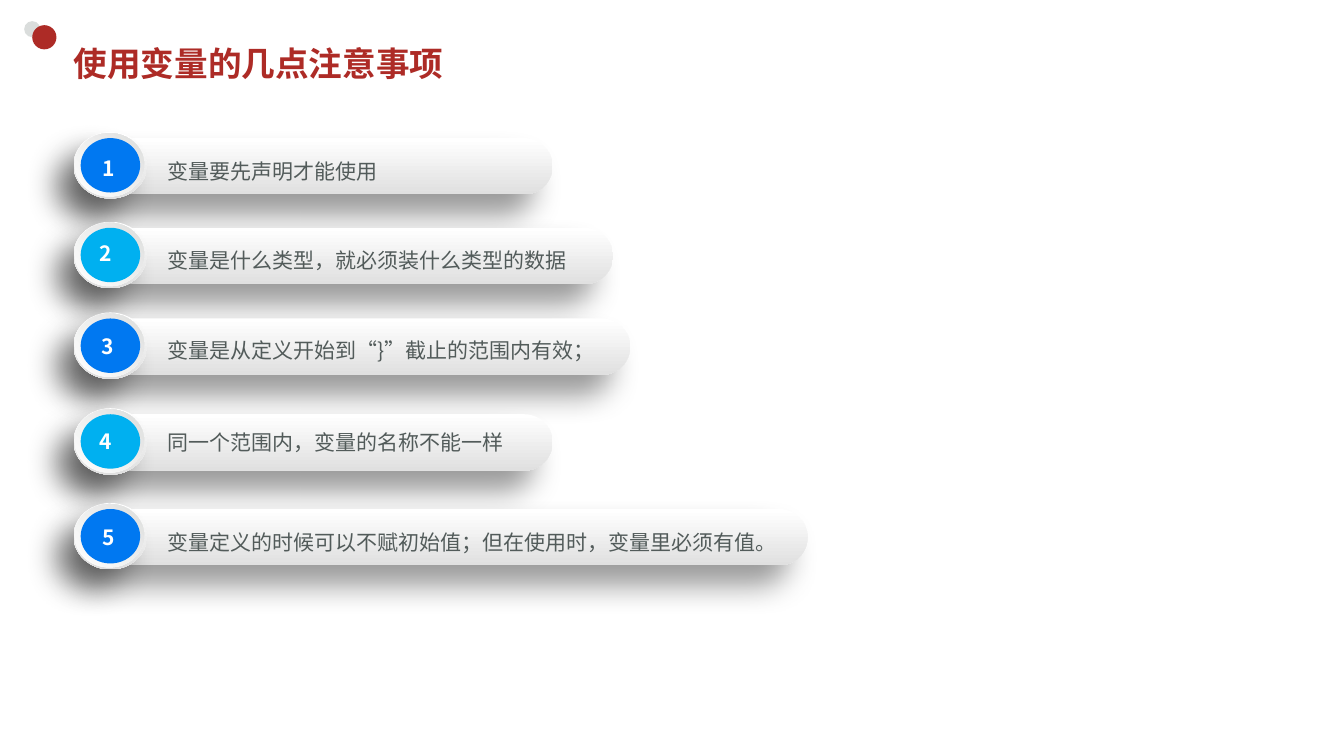
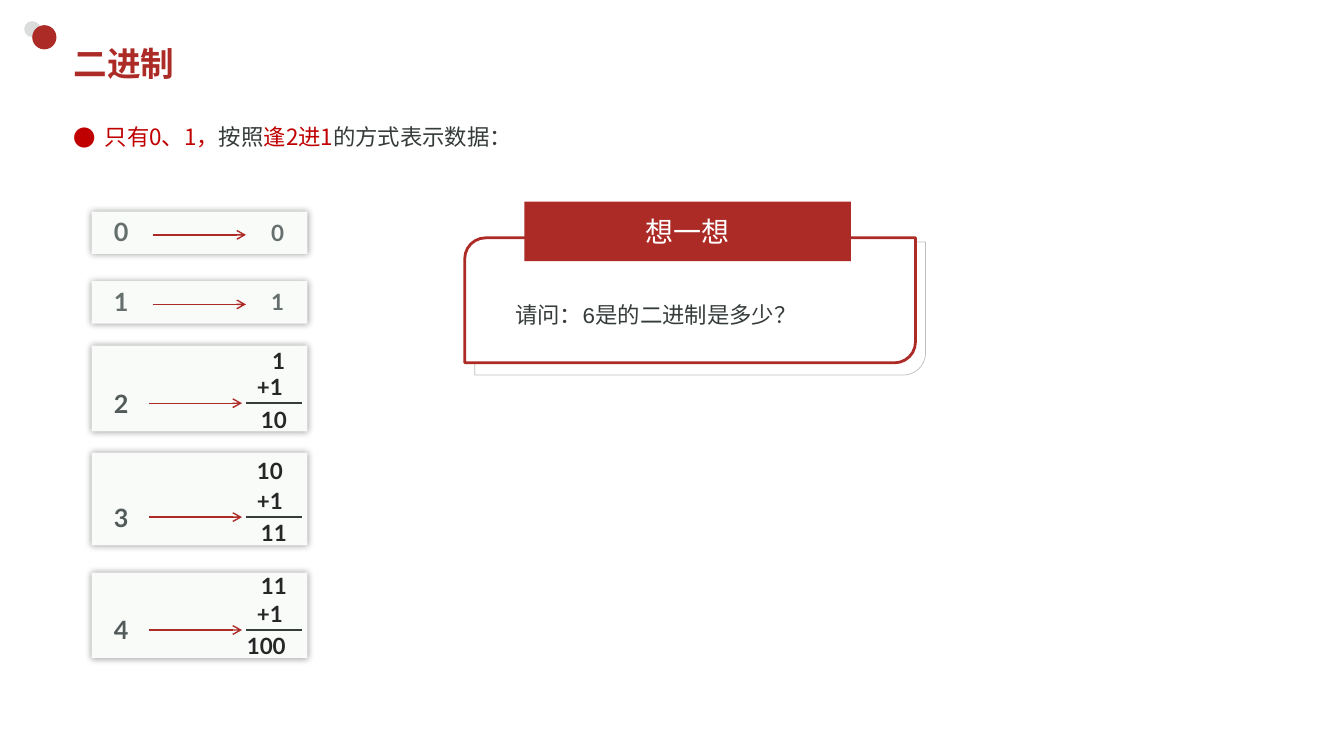
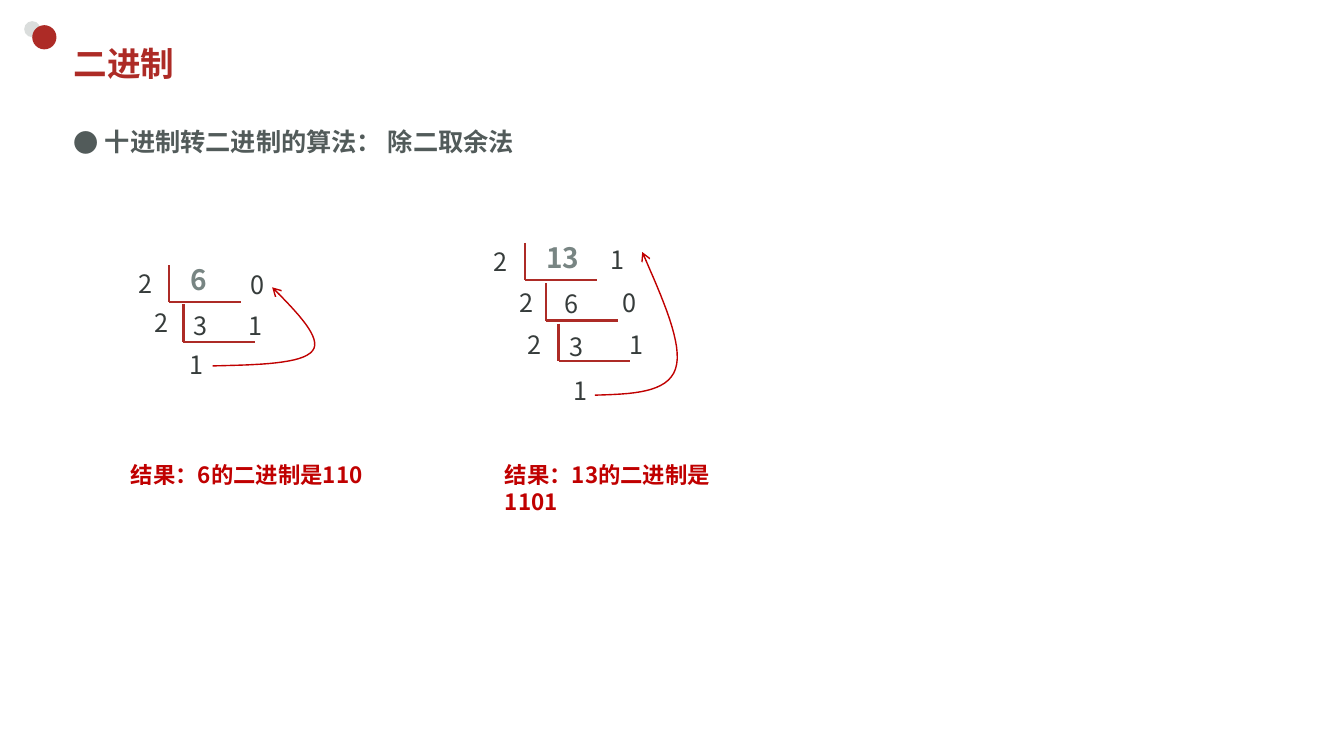
from lxml import etree
from pptx import Presentation
from pptx.dml import color as dml
from pptx.enum import shapes as kinds, text as styles
from pptx.oxml import ns
from pptx.util import Inches, Pt

COLORS = {
    "red": "AD2B26", "accent": "C00000", "pale": "DADDDC", "white": "FFFFFF",
    "silver": "E0E0E0", "ring": "DDDEDD", "blue": "0078F1", "sky": "00B0F0",
    "slate": "525B5A", "ash": "65706E", "fog": "788583", "ink": "363C3B",
    "black": "000000", "dark": "262626", "card": "F9FBF9", "outline": "BFBFBF",
}
CJK = "Noto Sans CJK JP"
LATO = "Lato"
MONO = "Courier New"
SHAPE = kinds.MSO_SHAPE
ALIGN = styles.PP_ALIGN
ANCHOR = styles.MSO_ANCHOR
AUTO_SIZE = styles.MSO_AUTO_SIZE


def rgb(name):
    return dml.RGBColor.from_string(COLORS[name])


def add_element(parent, tag, **attributes):
    return etree.SubElement(parent, ns.qn(tag), **attributes)


def set_font(paragraph, size, color, name=CJK, bold=False):
    font = paragraph.font
    font.size = Pt(size)
    font.bold = bold
    font.color.rgb = rgb(color)
    font.name = name
    add_element(font._rPr, "a:ea", typeface=CJK)


def add_label(shapes, content, left, top, width, size, color, name=CJK,
              bold=False, align=ALIGN.LEFT, height=0.4):
    box = shapes.add_textbox(Inches(left), Inches(top), Inches(width), Inches(height))
    frame = box.text_frame
    frame.word_wrap = True
    frame.auto_size = AUTO_SIZE.SHAPE_TO_FIT_TEXT
    paragraph = frame.paragraphs[0]
    paragraph.text = content
    paragraph.alignment = align
    set_font(paragraph, size, color, name, bold)


def add_panel(shapes, kind, left, top, width, height, fill, line=None, weight=1):
    shape = shapes.add_shape(kind, Inches(left), Inches(top), Inches(width), Inches(height))
    shape.shadow.inherit = False
    shape.fill.solid()
    shape.fill.fore_color.rgb = rgb(fill)
    if line:
        shape.line.color.rgb = rgb(line)
        shape.line.width = Pt(weight)
    else:
        shape.line.fill.background()
    return shape


def set_gradient(shape, end, angle):
    shape.fill.gradient()
    shape.fill.gradient_angle = angle
    for stop, name in zip(shape.fill.gradient_stops, ("white", end)):
        stop.color.rgb = rgb(name)


def set_shadow(shape, blur, distance=0, direction=0):
    effects = shape.element.spPr.find(ns.qn("a:effectLst"))
    shadow = add_element(effects, "a:outerShdw", blurRad=str(Pt(blur)),
                         dist=str(Pt(distance)), dir=str(direction * 60000),
                         algn="ctr", rotWithShape="0")
    tint = add_element(shadow, "a:srgbClr", val=COLORS["black"])
    add_element(tint, "a:alpha", val="40000")


def set_arrowhead(shape):
    add_element(shape.line._get_or_add_ln(), "a:tailEnd", type="arrow")


def add_line(shapes, start, end, color, weight, arrow=False):
    line = shapes.add_connector(kinds.MSO_CONNECTOR.STRAIGHT,
                                *(Inches(value) for value in start + end))
    line.line.color.rgb = rgb(color)
    line.line.width = Pt(weight)
    if arrow:
        set_arrowhead(line)
    add_element(line.element.spPr, "a:effectLst")


def bezier_point(points, t):
    weights = ((1 - t) ** 3, 3 * t * (1 - t) ** 2, 3 * t * t * (1 - t), t ** 3)
    return tuple(Inches(sum(weight * point[axis] for weight, point in zip(weights, points)))
                 for axis in (0, 1))


def add_curve(shapes, points, steps=16):
    vertices = [bezier_point(points[first:first + 4], step / steps)
                for first in range(0, len(points) - 1, 3)
                for step in range(1, steps + 1)]
    builder = shapes.build_freeform(Inches(points[0][0]), Inches(points[0][1]))
    builder.add_line_segments(vertices, close=False)
    curve = builder.convert_to_shape()
    curve.shadow.inherit = False
    curve.fill.background()
    curve.line.color.rgb = rgb("accent")
    curve.line.width = Pt(1)
    set_arrowhead(curve)


def place(shape, left, top, width, height):
    shape.left, shape.top = Inches(left), Inches(top)
    shape.width, shape.height = Inches(width), Inches(height)


def add_slide(presentation, layout, title):
    slide = presentation.slides.add_slide(presentation.slide_layouts[layout])
    frame = slide.shapes.title.text_frame
    frame.auto_size = AUTO_SIZE.NONE
    paragraph = frame.paragraphs[0]
    paragraph.text = title
    paragraph.alignment = ALIGN.LEFT
    set_font(paragraph, 24, "red", MONO, True)
    return slide


def set_bullet(slide, runs, size, color, bold=False, anchor=ANCHOR.TOP):
    frame = slide.placeholders[1].text_frame
    frame.auto_size = AUTO_SIZE.NONE
    frame.vertical_anchor = anchor
    paragraph = frame.paragraphs[0]
    properties = paragraph._p.get_or_add_pPr()
    properties.set("marL", str(Inches(0.31)))
    properties.set("indent", str(-Inches(0.31)))
    add_element(properties, "a:buFont", typeface=CJK)
    add_element(properties, "a:buChar", char="●")
    paragraph.space_before = Pt(0)
    paragraph.line_spacing = 1.5
    set_font(paragraph, size, color, CJK, bold)
    for content, run_color in runs:
        run = paragraph.add_run()
        run.text = content
        run.font.color.rgb = rgb(run_color)


def set_up_master(presentation, slide):
    master = presentation.slide_master
    place(master.placeholders[0], 0.63, 0.37, 11.75, 0.52)
    place(master.placeholders[1], 0.63, 1.04, 12.1, 0.57)
    dots = ((0.24, 0.21, 0.16, "pale"), (0.32, 0.25, 0.24, "red"))
    for index, (left, top, size, color) in enumerate(dots):
        dot = add_panel(slide.shapes, SHAPE.OVAL, left, top, size, size, color)
        dot.element.nvSpPr.cNvPr.set("id", str(20 + index))
        master.shapes.element.insert(2 + index, dot.element)


def add_note(slide, number, content, top, width, number_left, number_top, text_top):
    shapes = slide.shapes.add_group_shape().shapes
    bar = add_panel(shapes, SHAPE.ROUNDED_RECTANGLE, 0.88, top + 0.06, width, 0.56, "white")
    bar.adjustments[0] = 0.5
    ball = add_panel(shapes, SHAPE.OVAL, 0.73, top, 0.73, 0.66, "white")
    for shape in (bar, ball):
        set_gradient(shape, "silver", 270)
        set_shadow(shape, 22, 20, 135)
    ring = add_panel(shapes, SHAPE.OVAL, 0.74, top + 0.01, 0.69, 0.63, "white")
    set_gradient(ring, "ring", 45)
    add_panel(shapes, SHAPE.OVAL, 0.8, top + 0.06, 0.59, 0.54, "blue" if number % 2 else "sky")
    add_label(shapes, str(number), number_left, number_top, 0.59, 15, "white",
              bold=True, align=ALIGN.CENTER, height=0.35)
    add_label(shapes, content, 1.56, text_top, width - 0.55, 15, "slate", height=0.35)


def build_notes(presentation):
    slide = add_slide(presentation, 5, "使用变量的几点注意事项")
    set_up_master(presentation, slide)
    notes = (
        ("变量要先声明才能使用", 1.31, 4.6, 0.78, 1.49, 1.52),
        ("变量是什么类型，就必须装什么类型的数据", 2.2, 5.2, 0.75, 2.34, 2.41),
        ("变量是从定义开始到“}”截止的范围内有效；", 3.1, 5.37, 0.77, 3.26, 3.3),
        ("同一个范围内，变量的名称不能一样", 4.05, 4.6, 0.75, 4.2, 4.21),
        ("变量定义的时候可以不赋初始值；但在使用时，变量里必须有值。",
         4.99, 7.13, 0.78, 5.15, 5.2),
    )
    for number, note in enumerate(notes, 1):
        add_note(slide, number, *note)


def add_card(shapes, top, height):
    set_shadow(add_panel(shapes, SHAPE.RECTANGLE, 0.91, top, 2.14, height, "card"), 5)


def add_digit_card(shapes, digit, top):
    add_card(shapes, top, 0.42)
    add_label(shapes, digit, 1.03, top, 0.49, 18, "ash", LATO, True)
    add_line(shapes, (1.52, top + 0.23), (2.44, top + 0.23), "red", 1, arrow=True)
    add_label(shapes, digit, 2.59, top + 0.02, 0.76, 16, "ash", LATO, True)


def add_sum_card(shapes, digit, top, height, rule, addend, total):
    add_card(shapes, top, height)
    add_label(shapes, digit, 1.03, rule - 0.2, 0.49, 18, "slate", LATO, True)
    add_line(shapes, (1.48, rule), (2.4, rule), "red", 1, arrow=True)
    add_line(shapes, (2.44, rule), (3, rule), "ink", 1.5)
    for content, left, label_top in (addend, ("+1", 2.45, rule - 0.35), total):
        add_label(shapes, content, left, label_top, 0.7, 16, "dark", LATO, True)


def add_question(shapes):
    add_panel(shapes, SHAPE.ROUND_2_DIAG_RECTANGLE, 4.71, 2.4, 4.47, 1.32,
              "white", "outline", 0.5)
    add_panel(shapes, SHAPE.ROUND_2_DIAG_RECTANGLE, 4.61, 2.36, 4.47, 1.24,
              "white", "red", 2)
    banner = add_panel(shapes, SHAPE.RECTANGLE, 5.2, 2, 3.24, 0.59, "red")
    banner.text_frame.vertical_anchor = ANCHOR.MIDDLE
    paragraph = banner.text_frame.paragraphs[0]
    paragraph.text = "想一想"
    paragraph.alignment = ALIGN.CENTER
    set_font(paragraph, 20, "white", LATO)
    add_label(shapes, "请问：6是的二进制是多少？", 5.01, 2.94, 4.06, 16, "ink", MONO)


def build_binary(presentation):
    slide = add_slide(presentation, 1, "二进制")
    set_bullet(slide, (("只有0、1，", "accent"), ("按照", "ink"),
                       ("逢2进1", "accent"), ("的方式表示数据：", "ink")), 16, "accent")
    for digit, top in (("0", 2.1), ("1", 2.79)):
        add_digit_card(slide.shapes, digit, top)
    sums = (
        ("2", 3.43, 0.85, 4, ("1", 2.6, 3.39), ("10", 2.49, 3.98)),
        ("3", 4.49, 0.92, 5.13, ("10", 2.45, 4.49), ("11", 2.49, 5.1)),
        ("4", 5.68, 0.85, 6.25, ("11", 2.49, 5.63), ("100", 2.35, 6.22)),
    )
    for entry in sums:
        add_sum_card(slide.shapes, *entry)
    add_question(slide.shapes)


def add_division(shapes, number, corners, digits, curve, result):
    for left, top in corners:
        bottom = top + 0.37
        add_line(shapes, (left, top), (left, bottom), "red", 1.5)
        add_line(shapes, (left, bottom), (left + 0.71, bottom), "red", 1.5)
    left, top = corners[0]
    add_label(shapes, number, left + 0.11, top - 0.07, 0.6, 20, "fog", bold=True)
    for digit, digit_left, digit_top in digits:
        add_label(shapes, digit, digit_left, digit_top, 0.32, 18, "ink")
    add_curve(shapes, curve)
    content, result_left = result
    add_label(shapes, content, result_left, 4.53, 2.5, 16, "accent", bold=True)


def build_division(presentation):
    slide = add_slide(presentation, 1, "二进制")
    set_bullet(slide, (("十进制转二进制的算法： 除二取余法", "slate"),), 18, "slate",
               True, ANCHOR.MIDDLE)
    add_division(
        slide.shapes, "6", ((1.68, 2.63), (1.82, 3.02)),
        (("2", 1.28, 2.61), ("0", 2.39, 2.62), ("2", 1.43, 3),
         ("3", 1.82, 3.03), ("1", 2.37, 3.03), ("1", 1.78, 3.42)),
        ((2.11, 3.63), (2.56, 3.62), (3, 3.61), (3.1, 3.48),
         (3.2, 3.36), (2.95, 3.1), (2.7, 2.85)),
        ("结果：6的二进制是110", 1.2))
    add_division(
        slide.shapes, "13", ((5.21, 2.41), (5.42, 2.81), (5.54, 3.21)),
        (("2", 4.8, 2.39), ("1", 5.96, 2.37), ("2", 5.05, 2.8), ("6", 5.5, 2.81),
         ("0", 6.08, 2.8), ("2", 5.13, 3.22), ("3", 5.55, 3.24),
         ("1", 6.14, 3.22), ("1", 5.59, 3.67)),
        ((5.9, 3.92), (6.26, 3.91), (6.62, 3.9), (6.7, 3.66),
         (6.78, 3.42), (6.57, 2.96), (6.37, 2.5)),
        ("结果：13的二进制是1101", 4.91))


def main():
    presentation = Presentation()
    presentation.slide_width = Inches(13.33)
    presentation.slide_height = Inches(7.5)
    build_notes(presentation)
    build_binary(presentation)
    build_division(presentation)
    presentation.save("out.pptx")


if __name__ == "__main__":
    main()
